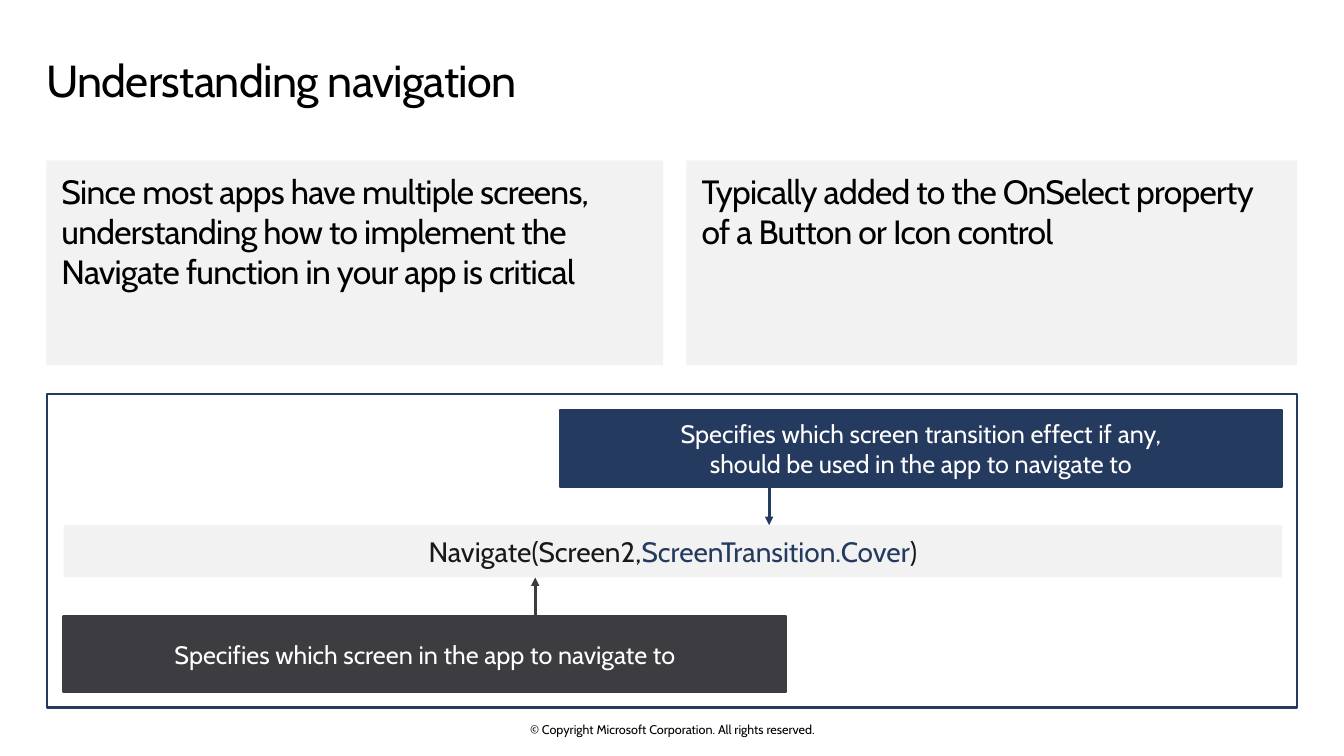
"""Build the slide that explains navigation between app screens."""
from dataclasses import dataclass

from lxml import etree
from pptx import Presentation
from pptx.dml.color import RGBColor
from pptx.enum.shapes import MSO_CONNECTOR, MSO_SHAPE
from pptx.enum.text import MSO_ANCHOR, MSO_AUTO_SIZE, PP_ALIGN
from pptx.oxml.ns import qn
from pptx.util import Pt

RECTANGLE, STRAIGHT = MSO_SHAPE.RECTANGLE, MSO_CONNECTOR.STRAIGHT
TOP, MIDDLE = MSO_ANCHOR.TOP, MSO_ANCHOR.MIDDLE
LEFT, CENTER = PP_ALIGN.LEFT, PP_ALIGN.CENTER
NO_AUTOFIT = MSO_AUTO_SIZE.NONE

FONT = "Cabin"
BLACK, WHITE, INK, NAVY, CHARCOAL, PALE = (
    "000000", "FFFFFF", "191919", "243A5E", "3C3C41", "F2F2F2")
TIGHT = -0.5


@dataclass(frozen=True)
class Box:
    left: float
    top: float
    width: float
    height: float

    @property
    def bottom(self) -> float:
        return self.top + self.height


@dataclass(frozen=True)
class TextStyle:
    size: float
    color: str
    align: PP_ALIGN = LEFT
    anchor: MSO_ANCHOR = TOP
    insets: tuple[float, float, float, float] = (7.2, 3.6, 7.2, 3.6)
    tracking: float = 0
    line_spacing: float = 1.0


@dataclass(frozen=True)
class Card:
    box: Box
    text: str


@dataclass(frozen=True)
class Callout:
    box: Box
    text: str
    color: str
    arrow_x: float
    arrow_start: float
    arrow_end: float


TITLE_STYLE = TextStyle(32, BLACK, insets=(0, 7.2, 11.5, 7.2),
                        tracking=TIGHT, line_spacing=0.9)
CARD_STYLE = TextStyle(24, BLACK, insets=(10.8, 7.2, 11.5, 7.2), tracking=TIGHT)
CALLOUT_STYLE = TextStyle(18, WHITE, CENTER, MIDDLE)
FORMULA_STYLE = TextStyle(20, INK, CENTER, MIDDLE, (10.8, 7.2, 10.8, 7.2))
FOOTER_STYLE = TextStyle(9, BLACK, CENTER, MIDDLE, (0, 0, 0, 0))

TITLE_BOX = Box(33.1, 34.6, 892.8, 53.3)
FRAME_BOX = Box(33.8, 281.5, 892.8, 223.9)
FORMULA_BOX = Box(45.4, 375.1, 870.5, 37.4)
FOOTER_BOX = Box(318.2, 515.5, 324, 10.8)
EFFECT_BOX = Box(399.7, 293.1, 516.2, 54.7)
SCREEN_BOX = Box(45.4, 439.9, 516.2, 54.7)

CARDS = [
    Card(Box(33.1, 114.6, 440.6, 146.2),
         "Since most apps have multiple screens, understanding how to "
         "implement the Navigate function in your app is critical"),
    Card(Box(490.3, 114.6, 436.3, 146.2),
         "Typically added to the OnSelect property of a Button or Icon control"),
]
CALLOUTS = [
    Callout(EFFECT_BOX,
            "Specifies which screen transition effect if any,\v"
            "should be used in the app to navigate to",
            NAVY, 549.4, EFFECT_BOX.bottom, FORMULA_BOX.top),
    Callout(SCREEN_BOX, "Specifies which screen in the app to navigate to",
            CHARCOAL, 382.3, SCREEN_BOX.top, FORMULA_BOX.bottom),
]
FORMULA = [("Navigate(Screen2,", INK), ("ScreenTransition.Cover", NAVY), (")", INK)]


def rgb(value: str) -> RGBColor:
    """Turn a hex string into a colour."""
    return RGBColor.from_string(value)


def place(box: Box) -> tuple[Pt, Pt, Pt, Pt]:
    """Give a box as left, top, width and height lengths."""
    return Pt(box.left), Pt(box.top), Pt(box.width), Pt(box.height)


def write(shape, text: str, style: TextStyle):
    """Put one styled paragraph in a shape and return it."""
    frame = shape.text_frame
    frame.auto_size = NO_AUTOFIT
    frame.word_wrap = True
    frame.vertical_anchor = style.anchor
    (frame.margin_left, frame.margin_top,
     frame.margin_right, frame.margin_bottom) = map(Pt, style.insets)
    paragraph = frame.paragraphs[0]
    paragraph.text = text
    paragraph.alignment = style.align
    paragraph.line_spacing = style.line_spacing
    paragraph.font.name = FONT
    paragraph.font.size = Pt(style.size)
    paragraph.font.color.rgb = rgb(style.color)
    if style.tracking:
        for run in paragraph.runs:
            run._r.get_or_add_rPr().set("spc", str(round(style.tracking * 100)))
    return paragraph


def add_panel(slide, box: Box, fill: str | None = None, line: str | None = None):
    """Add a rectangle with an optional fill and outline."""
    panel = slide.shapes.add_shape(RECTANGLE, *place(box))
    panel.shadow.inherit = False
    if fill:
        panel.fill.solid()
        panel.fill.fore_color.rgb = rgb(fill)
    else:
        panel.fill.background()
    if line:
        panel.line.color.rgb = rgb(line)
        panel.line.width = Pt(1.5)
    else:
        panel.line.fill.background()
    return panel


def add_callout(slide, callout: Callout) -> None:
    """Add a callout and its arrow to the formula."""
    panel = add_panel(slide, callout.box, callout.color, callout.color)
    write(panel, callout.text, CALLOUT_STYLE)
    x = Pt(callout.arrow_x)
    arrow = slide.shapes.add_connector(
        STRAIGHT, x, Pt(callout.arrow_start), x, Pt(callout.arrow_end))
    arrow.line.color.rgb = rgb(callout.color)
    arrow.line.width = Pt(2)
    etree.SubElement(arrow.line._get_or_add_ln(), qn("a:tailEnd"), type="triangle")
    etree.SubElement(arrow._element.spPr, qn("a:effectLst"))


def add_formula(slide) -> None:
    """Add the formula bar with its coloured argument."""
    paragraph = write(add_panel(slide, FORMULA_BOX, PALE), "", FORMULA_STYLE)
    for text, color in FORMULA:
        run = paragraph.add_run()
        run.text = text
        run.font.color.rgb = rgb(color)


def main() -> None:
    """Build and save the slide."""
    deck = Presentation()
    deck.slide_width, deck.slide_height = Pt(960), Pt(540)
    slide = deck.slides.add_slide(deck.slide_layouts.get_by_name("Title Only"))

    title = slide.shapes.title
    title.left, title.top, title.width, title.height = place(TITLE_BOX)
    write(title, "Understanding navigation", TITLE_STYLE)

    for card in CARDS:
        write(add_panel(slide, card.box, PALE), card.text, CARD_STYLE)

    add_panel(slide, FRAME_BOX, line=NAVY)
    add_formula(slide)
    for callout in CALLOUTS:
        add_callout(slide, callout)

    footer = slide.shapes.add_textbox(*place(FOOTER_BOX))
    write(footer, "© Copyright Microsoft Corporation. All rights reserved.",
          FOOTER_STYLE)
    deck.save("out.pptx")


if __name__ == "__main__":
    main()
